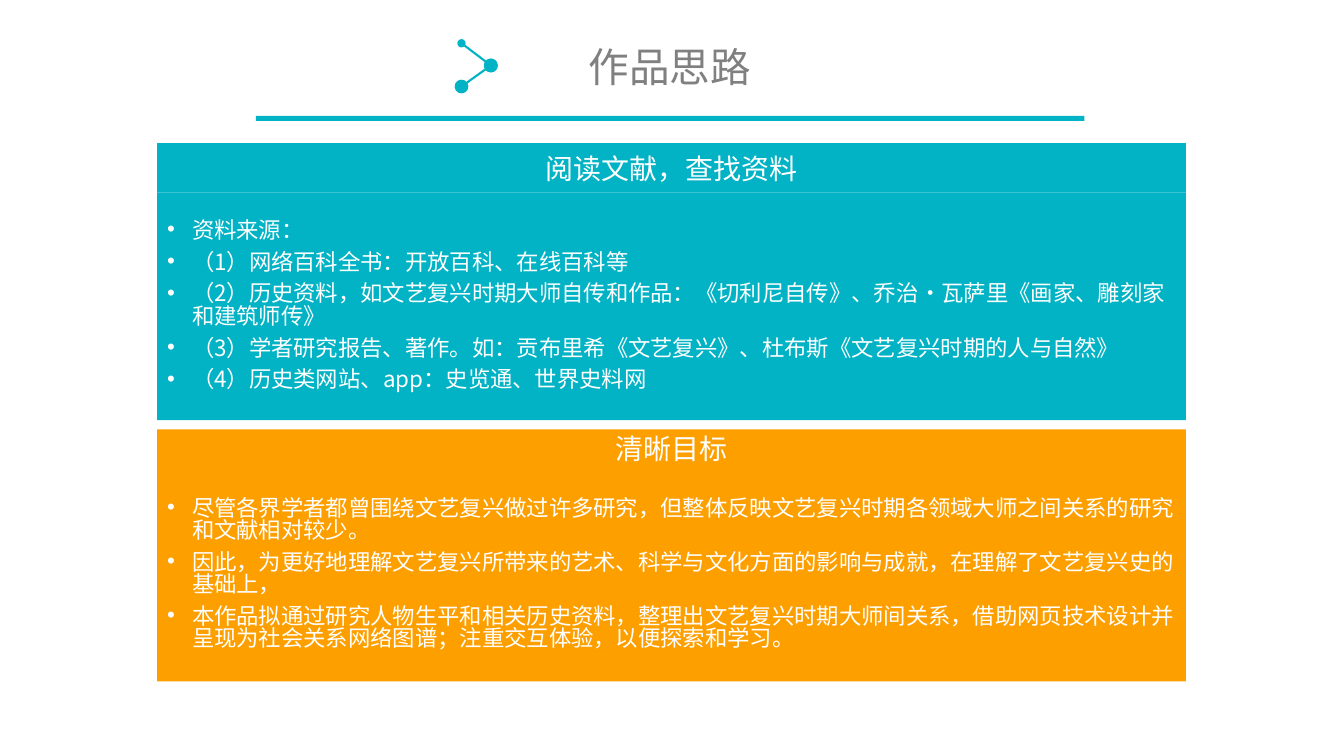
"""Build the slide on the approach of the work: sources and goals."""
from dataclasses import dataclass

from pptx import Presentation
from pptx import util as u
from pptx.dml.color import RGBColor
from pptx.enum import shapes, text
from pptx.oxml.ns import qn
from lxml import etree

COLORS = {"teal": "01B3C5", "orange": "FE9F00", "grey": "808080", "white": "FFFFFF"}
CJK = "Noto Sans CJK SC"
LEFT, WIDTH = 3.96, 25.93


@dataclass
class Panel:
    """A heading bar with a bulleted body below it, in centimetres."""
    color: str
    top: float
    head_height: float
    body_height: float
    heading: str
    points: list[str]


@dataclass
class Link:
    """A line with round ends, in centimetres."""
    start: tuple[float, float]
    end: tuple[float, float]
    head_size: str


PANELS = [
    Panel("teal", 3.61, 1.24, 5.74, "阅读文献，查找资料", [
        "资料来源：",
        "（1）网络百科全书：开放百科、在线百科等",
        "（2）历史资料，如文艺复兴时期大师自传和作品：《切利尼自传》、乔治·瓦萨里《画家、雕刻家和建筑师传》",
        "（3）学者研究报告、著作。如：贡布里希《文艺复兴》、杜布斯《文艺复兴时期的人与自然》",
        "（4）历史类网站、app：史览通、世界史料网",
    ]),
    Panel("orange", 10.82, 0.97, 5.38, "清晰目标", [
        "尽管各界学者都曾围绕文艺复兴做过许多研究，但整体反映文艺复兴时期各领域大师之间关系的研究和文献相对较少。",
        "因此，为更好地理解文艺复兴所带来的艺术、科学与文化方面的影响与成就，在理解了文艺复兴史的基础上，",
        "本作品拟通过研究人物生平和相关历史资料，整理出文艺复兴时期大师间关系，借助网页技术设计并呈现为社会关系网络图谱；注重交互体验，以便探索和学习。",
    ]),
]
LINKS = [
    Link((11.63, 1.09), (12.37, 1.65), "med"),
    Link((12.37, 1.65), (11.63, 2.18), "lg"),
]


def rgb(name: str) -> RGBColor:
    """Return a palette colour."""
    return RGBColor.from_string(COLORS[name])


def write(tf, lines: list[str], *, size: float, color: str = "white", font: str = CJK,
          align=text.PP_ALIGN.LEFT, bullet: bool = False, spacing: float = 1.0,
          before: float = 0) -> None:
    """Write one paragraph per line in the given format."""
    tf.vertical_anchor = text.MSO_ANCHOR.MIDDLE
    for i, line in enumerate(lines):
        p = tf.paragraphs[0] if i == 0 else tf.add_paragraph()
        p.alignment = align
        p.line_spacing = spacing
        p.space_before = u.Pt(before if i else 0)
        if bullet:
            pPr = p._p.get_or_add_pPr()
            pPr.set("marL", str(u.Cm(0.63)))
            pPr.set("indent", str(u.Cm(-0.63)))
            etree.SubElement(pPr, qn("a:buFont")).set("typeface", "Arial")
            etree.SubElement(pPr, qn("a:buChar")).set("char", "•")
        r = p.add_run()
        r.text = line
        r.font.size = u.Pt(size)
        r.font.name = font
        r.font.color.rgb = rgb(color)
        etree.SubElement(r._r.get_or_add_rPr(), qn("a:ea")).set("typeface", CJK)


def add_bar(s, left: float, top: float, width: float, height: float, color: str):
    """Add a plain filled rectangle."""
    sp = s.shapes.add_shape(shapes.MSO_SHAPE.RECTANGLE,
                            u.Cm(left), u.Cm(top), u.Cm(width), u.Cm(height))
    sp.shadow.inherit = False
    sp.fill.solid()
    sp.fill.fore_color.rgb = rgb(color)
    sp.line.fill.background()
    sp.text_frame.word_wrap = True
    return sp


def add_link(s, link: Link) -> None:
    """Add a line with a dot at each end."""
    cx = s.shapes.add_connector(shapes.MSO_CONNECTOR.STRAIGHT,
                                *(u.Cm(v) for v in link.start + link.end))
    cx.line.color.rgb = rgb("teal")
    cx.line.width = u.Pt(1.5)
    ln = cx.line._get_or_add_ln()
    for tag, size in (("a:headEnd", link.head_size), ("a:tailEnd", "lg")):
        etree.SubElement(ln, qn(tag), type="oval", w=size, len=size)
    etree.SubElement(cx._element.spPr, qn("a:effectLst"))


def add_title(s, title: str) -> None:
    """Place and format the title placeholder."""
    sp = s.shapes.title
    sp.left, sp.top, sp.width, sp.height = (u.Cm(v) for v in (14.58, 0.91, 4.65, 1.5))
    tf = sp.text_frame
    tf.word_wrap = False
    tf.auto_size = text.MSO_AUTO_SIZE.NONE
    write(tf, [title], size=29, color="grey", font="Arial")


def add_panel(s, panel: Panel) -> None:
    """Add a heading bar and its bulleted body."""
    head = add_bar(s, LEFT, panel.top, WIDTH, panel.head_height, panel.color)
    write(head.text_frame, [panel.heading], size=20, align=text.PP_ALIGN.CENTER)
    body = add_bar(s, LEFT, panel.top + panel.head_height, WIDTH,
                   panel.body_height, panel.color)
    write(body.text_frame, panel.points, size=16, bullet=True, spacing=0.83, before=6.8)


def main() -> None:
    """Build and save the slide."""
    prs = Presentation()
    prs.slide_width, prs.slide_height = u.Cm(33.87), u.Cm(19.05)
    s = prs.slides.add_slide(prs.slide_layouts[5])
    add_title(s, "作品思路")
    add_bar(s, 6.45, 2.92, 20.88, 0.13, "teal")
    for link in LINKS:
        add_link(s, link)
    for panel in PANELS:
        add_panel(s, panel)
    prs.save("out.pptx")


if __name__ == "__main__":
    main()
